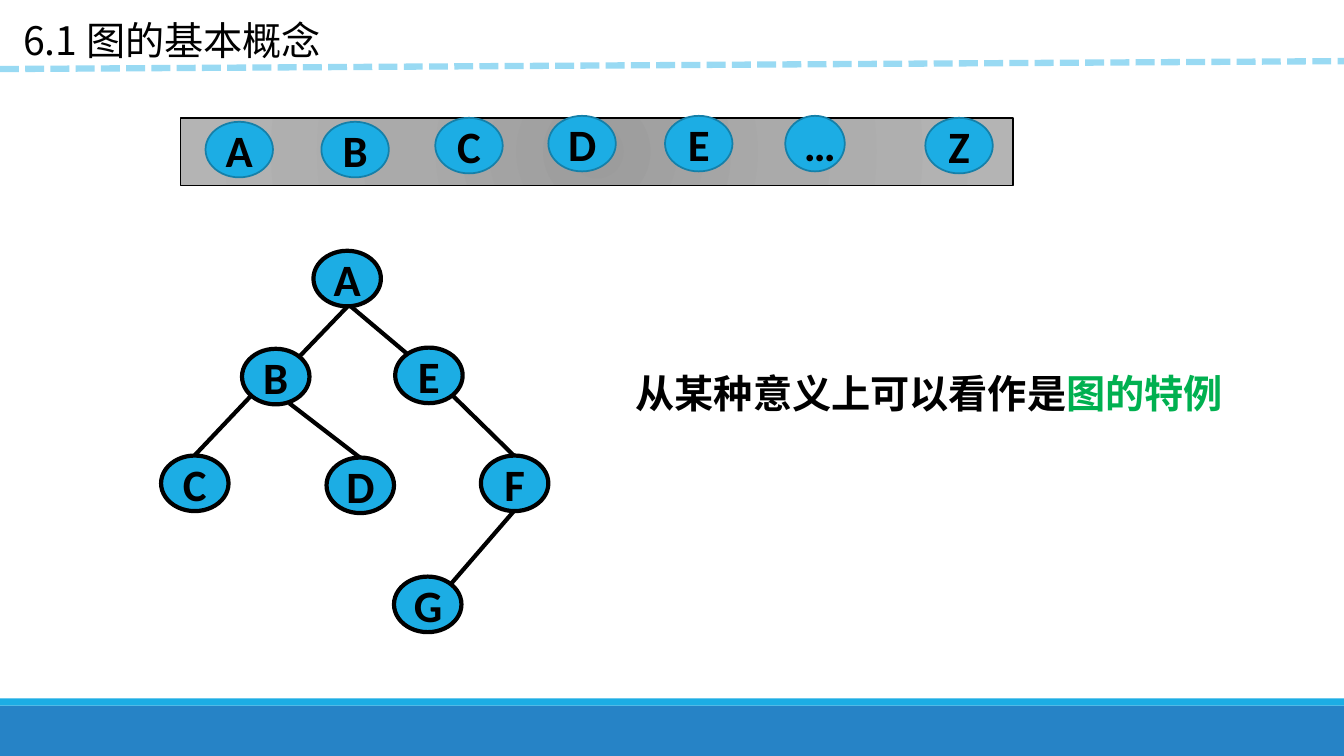
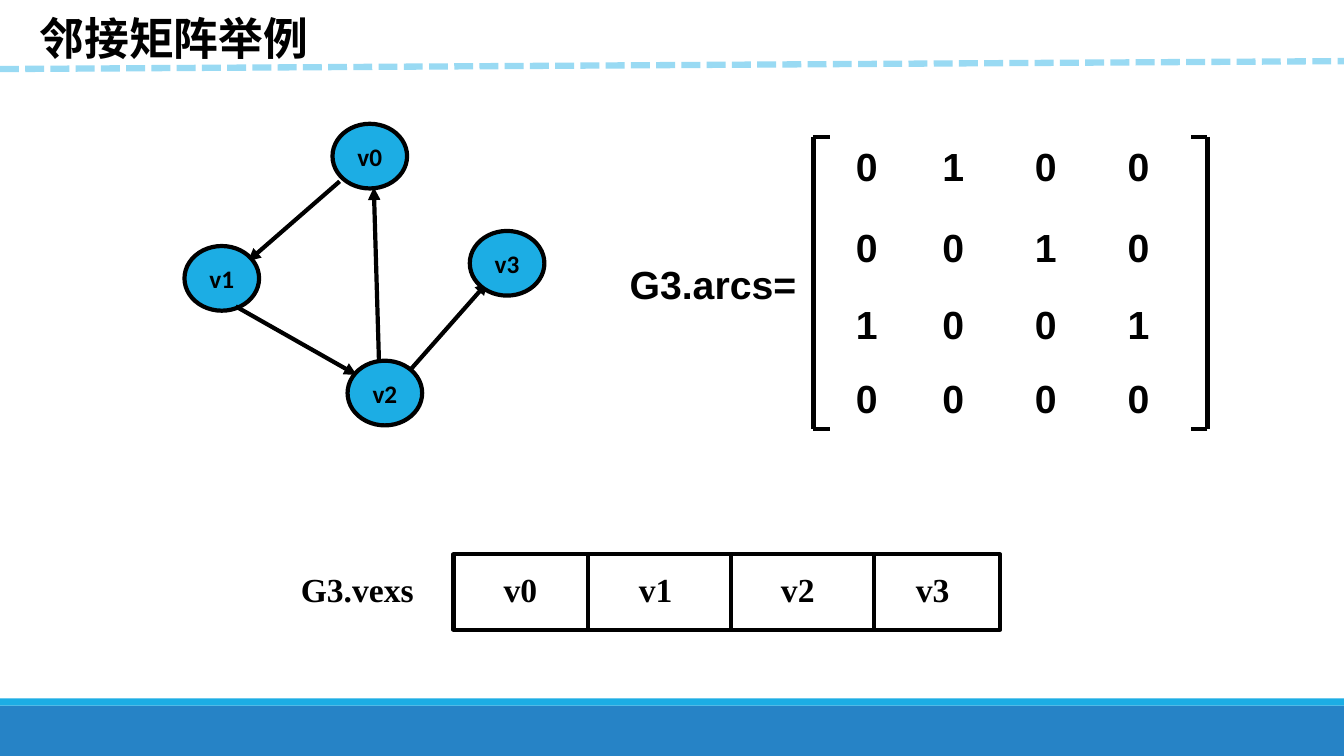
"""Build two slides on graph concepts and the adjacency matrix."""
from typing import Any, NamedTuple, Optional

from lxml.etree import SubElement
from pptx import Presentation
from pptx.dml.color import RGBColor
from pptx.enum.dml import MSO_LINE
from pptx.enum.shapes import MSO_CONNECTOR, MSO_SHAPE
from pptx.enum.text import MSO_ANCHOR, MSO_AUTO_SIZE, PP_ALIGN
from pptx.oxml import parse_xml
from pptx.oxml.ns import nsdecls, qn
from pptx.util import Cm, Pt

COLORS = {
    "ink": "000000",
    "node": "1CADE4",
    "node_edge": "1580A9",
    "footer": "2683C6",
    "rule": "99DAF3",
    "accent": "00B050",
}
BAR_STOPS = ((0, "9C9C9C"), (45, "AAAAAA"), (100, "B4B4B4"))
CJK = "Noto Sans CJK SC"
WIDTH, HEIGHT = 33.87, 19.05


class Box(NamedTuple):
    left: float
    top: float
    width: float
    height: float


class Style(NamedTuple):
    font: str
    size: float
    bold: bool = True
    align: PP_ALIGN = PP_ALIGN.LEFT


class Node(NamedTuple):
    label: str
    left: float
    top: float
    width: float = 1.7
    height: float = 1.4


class Edge(NamedTuple):
    x1: float
    y1: float
    x2: float
    y2: float


LETTER = Style("Calibri", 32, align=PP_ALIGN.CENTER)
VERTEX = Style("Calibri", 18, align=PP_ALIGN.CENTER)
ARRAY = Style("Times New Roman", 24, align=PP_ALIGN.CENTER)
MATRIX = Style("Arial", 28)

SEQUENCE = (
    Node("A", 5.18, 3.07), Node("B", 8.1, 3.07), Node("C", 10.97, 2.97),
    Node("D", 13.82, 2.92), Node("E", 16.76, 2.92),
    Node("…", 19.79, 2.92, 1.5), Node("Z", 23.32, 2.97),
)
TREE = (
    Node("A", 7.9, 6.32), Node("B", 6.1, 8.79), Node("C", 4.06, 11.48),
    Node("D", 8.23, 11.53), Node("E", 9.96, 8.76), Node("F", 12.12, 11.48),
    Node("G", 9.93, 14.53),
)
BRANCHES = (
    Edge(8.76, 7.72, 7.54, 8.99), Edge(8.84, 7.72, 10.29, 8.94),
    Edge(11.4, 9.96, 12.95, 11.48), Edge(6.32, 9.98, 4.9, 11.48),
    Edge(7.29, 10.16, 9.07, 11.53), Edge(12.95, 12.88, 11.35, 14.73),
)
VERTICES = (
    Node("v0", 8.38, 3.12, 1.88, 1.63), Node("v1", 4.65, 6.2, 1.88, 1.63),
    Node("v2", 8.76, 9.09, 1.88, 1.63), Node("v3", 11.84, 5.82, 1.88, 1.63),
)
ARCS_BEHIND = (
    Edge(9.55, 9.09, 9.42, 4.72), Edge(8.56, 4.57, 6.25, 6.58),
    Edge(10.34, 9.32, 12.29, 7.11),
)
ARC_IN_FRONT = Edge(5.94, 7.72, 8.99, 9.45)
ADJACENCY = ("0100", "0010", "1001", "0000")
COLUMN_LEFTS = (21.32, 23.5, 25.83, 28.17)
ROW_TOPS = (3.45, 5.51, 7.44, 9.32)


def rgb(color: str) -> RGBColor:
    return RGBColor.from_string(COLORS[color])


def place(box: Box) -> tuple:
    return tuple(Cm(length) for length in box)


def style_text(shape: Any, style: Style) -> None:
    for paragraph in shape.text_frame.paragraphs:
        paragraph.alignment = style.align
        for run in paragraph.runs:
            run.font.name = style.font
            run.font.size = Pt(style.size)
            run.font.bold = style.bold
            run.font.color.rgb = rgb("ink")
    for latin in list(shape.element.iter(qn("a:latin"))):
        east_asian = SubElement(latin.getparent(), qn("a:ea"))
        east_asian.set("typeface", style.font)
        latin.addnext(east_asian)


def add_label(shapes: Any, text: str, box: Box, style: Style, wrap: bool = True) -> Any:
    label = shapes.add_textbox(*place(box))
    label.text_frame.word_wrap = wrap
    label.text_frame.text = text
    style_text(label, style)
    return label


def add_panel(shapes: Any, kind: MSO_SHAPE, box: Box, fill: Optional[str] = None,
              edge: Optional[str] = None, weight: float = 3) -> Any:
    panel = shapes.add_shape(kind, *place(box))
    panel.shadow.inherit = False
    if fill:
        panel.fill.solid()
        panel.fill.fore_color.rgb = rgb(fill)
    else:
        panel.fill.background()
    if edge:
        panel.line.color.rgb = rgb(edge)
        panel.line.width = Pt(weight)
    else:
        panel.line.fill.background()
    return panel


def add_node(shapes: Any, node: Node, style: Style, edge: str = "ink",
             weight: float = 3) -> None:
    circle = add_panel(shapes, MSO_SHAPE.OVAL, Box(*node[1:]), "node", edge, weight)
    circle.text_frame.text = node.label
    style_text(circle, style)


def add_edge(shapes: Any, edge: Edge, arrow: bool = False, color: str = "ink",
             weight: float = 3) -> Any:
    link = shapes.add_connector(MSO_CONNECTOR.STRAIGHT, *(Cm(value) for value in edge))
    link.line.color.rgb = rgb(color)
    link.line.width = Pt(weight)
    properties = link.element.find(qn("p:spPr"))
    if arrow:
        SubElement(properties.find(qn("a:ln")), qn("a:tailEnd")).set("type", "triangle")
    SubElement(properties, qn("a:effectLst"))
    return link


def shade_radially(panel: Any) -> None:
    stops = "".join(
        f'<a:gs pos="{position * 1000}"><a:srgbClr val="{color}"/></a:gs>'
        for position, color in BAR_STOPS
    )
    gradient = parse_xml(
        f'<a:gradFill {nsdecls("a")} rotWithShape="1"><a:gsLst>{stops}</a:gsLst>'
        '<a:path path="circle"><a:fillToRect l="100000" t="100000" r="100000" '
        'b="100000"/></a:path></a:gradFill>'
    )
    properties = panel.element.find(qn("p:spPr"))
    properties.replace(properties.find(qn("a:noFill")), gradient)


def decorate_layout(layout: Any, slide: Any) -> None:
    rule = add_edge(slide.shapes, Edge(0, 1.74, WIDTH, 1.54), color="rule", weight=4.5)
    rule.line.dash_style = MSO_LINE.SQUARE_DOT
    footer = add_panel(slide.shapes, MSO_SHAPE.RECTANGLE, Box(0, 17.78, WIDTH, 1.27), "footer")
    strip = add_panel(slide.shapes, MSO_SHAPE.RECTANGLE, Box(0, 17.6, WIDTH, 0.18), "node")
    for part in (rule, footer, strip):
        layout.shapes.element.append(part.element)


def set_title(slide: Any, text: str, box: Box, style: Style) -> None:
    title = slide.shapes.title
    title.left, title.top, title.width, title.height = place(box)
    title.text_frame.text = text
    title.text_frame.word_wrap = True
    title.text_frame.vertical_anchor = MSO_ANCHOR.TOP
    title.text_frame.auto_size = MSO_AUTO_SIZE.SHAPE_TO_FIT_TEXT
    style_text(title, style)


def fill_concepts(slide: Any) -> None:
    shapes = slide.shapes
    set_title(slide, "6.1 图的基本概念", Box(0.33, 0.28, 10.85, 1.45), Style(CJK, 28, False))
    bar = add_panel(shapes, MSO_SHAPE.RECTANGLE, Box(4.55, 2.97, 20.98, 1.7), edge="ink", weight=1)
    shade_radially(bar)
    for node in SEQUENCE:
        add_node(shapes, node, LETTER, "node_edge", 1.25)
    for node in TREE:
        add_node(shapes, node, LETTER)
    for branch in BRANCHES:
        add_edge(shapes, branch)
    remark = add_label(shapes, "从某种意义上可以看作是", Box(15.77, 9.17, 16.15, 1.45), Style(CJK, 28))
    remark.text_frame.paragraphs[0].add_run().text = "图的特例"
    style_text(remark, Style(CJK, 28))
    remark.text_frame.paragraphs[0].runs[1].font.color.rgb = rgb("accent")


def add_matrix(slide: Any) -> None:
    shapes = slide.shapes.add_group_shape().shapes
    top, bottom, tick = 3.45, 10.82, 0.41
    for side, inner in ((20.5, 20.5 + tick), (30.43, 30.43 - tick)):
        add_edge(shapes, Edge(side, top, side, bottom))
        for level in (top, bottom):
            add_edge(shapes, Edge(side, level, inner, level))
    for row_top, row in zip(ROW_TOPS, ADJACENCY):
        for left, digit in zip(COLUMN_LEFTS, row):
            add_label(shapes, digit, Box(left, row_top, 1.07, 1.45), MATRIX, wrap=False)
    add_label(shapes, "G3.arcs=", Box(15.62, 6.43, 4.88, 1.45), MATRIX)


def add_vertex_array(slide: Any) -> None:
    shapes = slide.shapes
    top, height = 13.97, 1.9
    add_panel(shapes, MSO_SHAPE.RECTANGLE, Box(11.43, top, 13.77, height), edge="ink")
    for divider in (14.81, 18.42, 22.02):
        add_edge(shapes, Edge(divider, top, divider, top + height))
    for vertex, left in zip(VERTICES, (11.63, 15.04, 18.62, 22.02)):
        add_label(shapes, vertex.label, Box(left, 14.2, 2.97, 1.27), ARRAY)
    add_label(shapes, "G3.vexs", Box(6.78, 14.2, 4.45, 1.27), ARRAY)


def fill_adjacency(slide: Any) -> None:
    set_title(slide, "邻接矩阵举例", Box(0.74, 0.13, 8.59, 1.63), Style(CJK, 32))
    add_vertex_array(slide)
    for arc in ARCS_BEHIND:
        add_edge(slide.shapes, arc, arrow=True)
    for vertex in VERTICES:
        add_node(slide.shapes, vertex, VERTEX)
    add_edge(slide.shapes, ARC_IN_FRONT, arrow=True)
    add_matrix(slide)


def main() -> None:
    deck = Presentation()
    deck.slide_width, deck.slide_height = Cm(WIDTH), Cm(HEIGHT)
    layout = deck.slide_layouts[5]
    concepts, adjacency = (deck.slides.add_slide(layout) for _ in range(2))
    decorate_layout(layout, concepts)
    fill_concepts(concepts)
    fill_adjacency(adjacency)
    deck.save("out.pptx")


if __name__ == "__main__":
    main()
